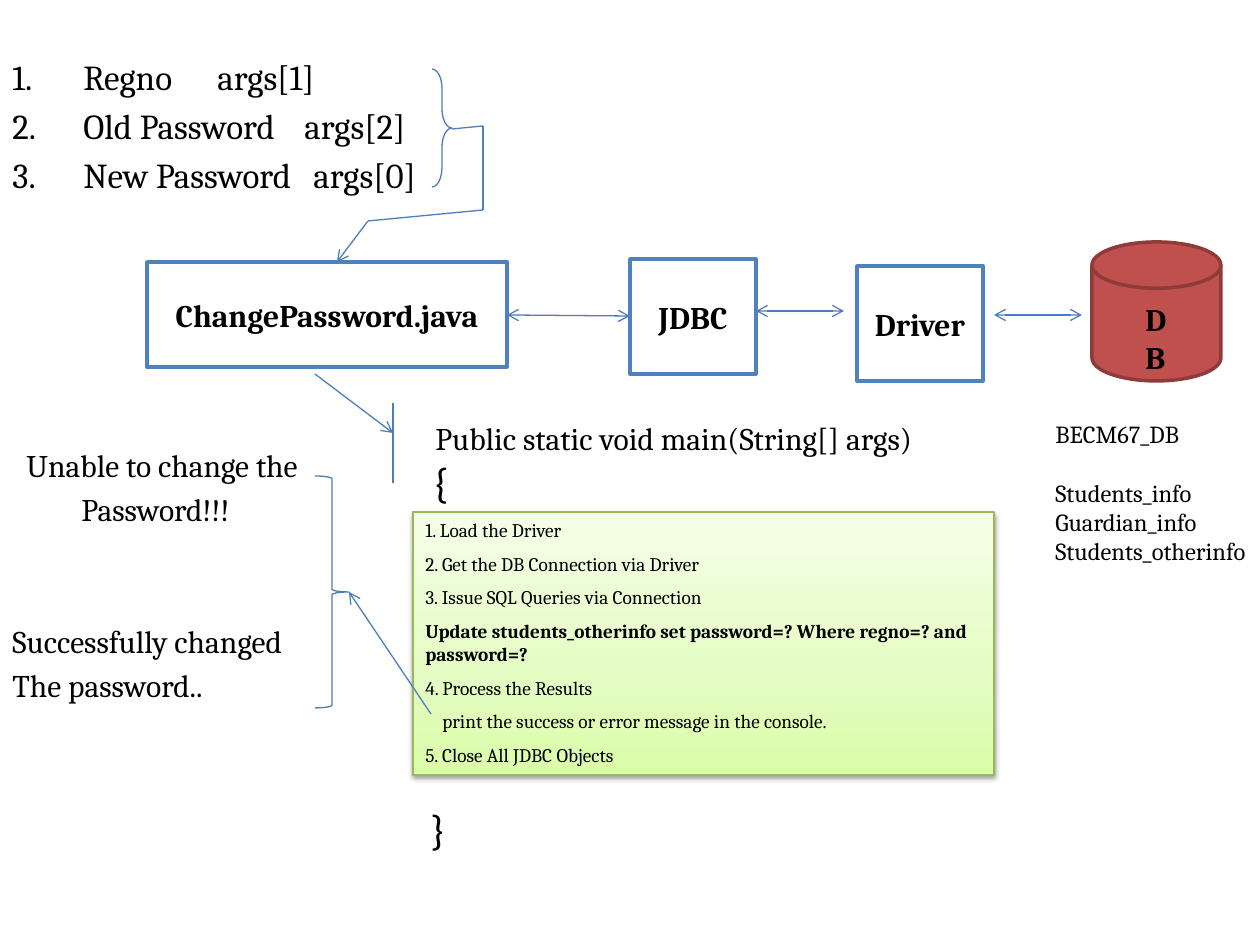
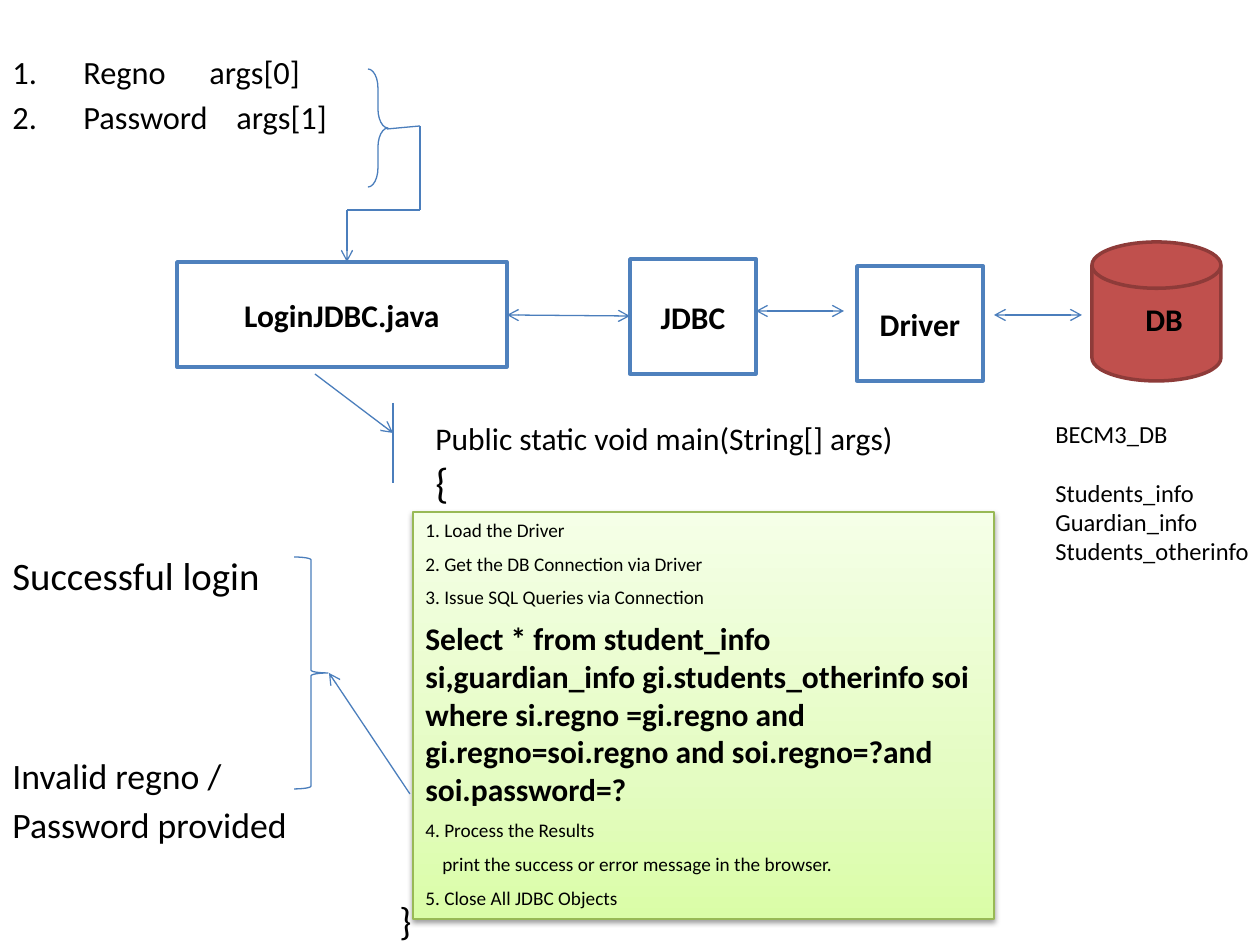
"""Build two slides on how a Java program reaches a database through JDBC."""
from itertools import pairwise
from lxml.etree import SubElement
from pptx import Presentation
from pptx.dml.color import RGBColor
from pptx.enum.shapes import MSO_CONNECTOR, MSO_SHAPE
from pptx.enum.text import MSO_ANCHOR, PP_ALIGN
from pptx.oxml import parse_xml
from pptx.oxml.ns import nsdecls, qn
from pptx.util import Inches, Pt

PX = 7257
BLACK, WHITE, BLUE, WIRE = "000000", "FFFFFF", "4F81BD", "4B7EBC"
RED, WINE, LEAF = "C0504D", "8E3B39", "98B955"
FADE = [(0, "DAFDA7"), (35, "E4FCC2"), (100, "F5FFE7")]
rgb = RGBColor.from_string


def draw(page, kind, at, fill=None, edge=None, width=0.75):
    area = [v * PX for v in at]
    if kind is None:
        item = page.shapes.add_textbox(*area)
    else:
        item = page.shapes.add_shape(kind, *area)
        item.shadow.inherit = False
        item.line.color.rgb = rgb(edge)
        item.line.width = Pt(width)
        if fill:
            item.fill.solid()
            item.fill.fore_color.rgb = rgb(fill)
        else:
            item.fill.background()
    item.text_frame.word_wrap = True
    return item


def write(item, text, size=18, font="Calibri", bold=False, align=PP_ALIGN.LEFT,
          gap=0, indent=0, count=False):
    frame = item.text_frame
    for line in text.split("\n"):
        para = frame.add_paragraph() if frame.text else frame.paragraphs[0]
        para.alignment = align
        para.space_before = Pt(gap)
        props = para._p.get_or_add_pPr()
        if indent:
            props.set("marL", str(indent * PX))
            props.set("indent", str(-indent * PX if count else 0))
        if count:
            SubElement(props, qn("a:buAutoNum"), type="arabicPeriod")
        run = para.add_run()
        run.text = line
        run.font.size = Pt(size)
        run.font.name = font
        run.font.bold = bold
        run.font.color.rgb = rgb(BLACK)


PAGES = [
    dict(font="Cambria", program="ChangePassword.java", left=147, base="BECM67_DB",
         top=49, pitch=49, size=20, gap=4,
         inputs=[("Regno", "args[1]", 205), ("Old Password", "args[2]", 292),
                 ("New Password", "args[0]", 301)],
         query="Update students_otherinfo set password=? Where regno=? and password=?",
         query_size=11, height=263, place="console",
         notes=[("Unable to change the", 14, 440, 18, 0), ("Password!!!", 14, 484, 18, 55),
                ("Successfully changed\nThe password..", 0, 616, 18, 0)],
         close=(418, 797, 24), brace=432, fork=(315, 476),
         route=[(452, 129), (483, 126), (483, 210), (368, 221), (337, 262)],
         result=(431, 714, 349, 592)),
    dict(font="Calibri", program="LoginJDBC.java", left=177, base="BECM3_DB",
         top=46, pitch=45, size=18.5, gap=3.5,
         inputs=[("Regno", "args[0]", 197), ("Password", "args[1]", 224)],
         query="Select * from student_info si,guardian_info gi.students_otherinfo soi "
               "where si.regno =gi.regno and gi.regno=soi.regno and soi.regno=?"
               "and soi.password=?",
         query_size=18, height=407, place="browser",
         notes=[("Successful login", 0, 546, 22.2, 0),
                ("Invalid regno /\nPassword provided", 0, 748, 20.4, 0)],
         close=(387, 890, 22.2), brace=368, fork=(294, 557),
         route=[(387, 129), (420, 126), (420, 210), (347, 210), (347, 262)],
         result=(410, 794, 329, 673)),
]
WIRES = [(507, 315, 630, 316, "both"), (756, 311, 844, 311, "both"),
         (994, 315, 1082, 315, "both"), (393, 403, 393, 483, ""),
         (315, 374, 393, 433, "end")]

deck = Presentation()
deck.slide_width, deck.slide_height = Inches(10), Inches(7.5)
for data in PAGES:
    page = deck.slides.add_slide(deck.slide_layouts[6])
    font = data["font"]

    names = draw(page, None, (0, data["top"], 420, 160))
    for row, (name, arg, left) in enumerate(data["inputs"]):
        write(names, name, data["size"], font, gap=data["gap"], indent=71, count=True)
        slot = draw(page, None, (left, data["top"] + row * data["pitch"], 140, 54))
        write(slot, arg, data["size"], font)

    for text, left, top, size, indent in data["notes"]:
        note = draw(page, None, (left, top, 320, 60))
        write(note, text, size, font, gap=3.6, indent=indent)
    left, top, size = data["close"]
    write(draw(page, None, (left, top, 50, 54)), "}", size)

    for text, at in [(data["program"], (data["left"], 262, 507 - data["left"], 105)),
                     ("JDBC", (630, 259, 126, 115)), ("Driver", (857, 266, 126, 115))]:
        block = draw(page, MSO_SHAPE.RECTANGLE, at, WHITE, BLUE, 2)
        block.text_frame.vertical_anchor = MSO_ANCHOR.MIDDLE
        write(block, text, 18, font, bold=True, align=PP_ALIGN.CENTER)
    draw(page, MSO_SHAPE.FLOWCHART_MAGNETIC_DISK, (1092, 242, 129, 139), RED, WINE, 2)
    write(draw(page, None, (1133, 294, 63, 50)), "DB", 18, font, bold=True)

    steps = draw(page, MSO_SHAPE.RECTANGLE, (413, 512, 581, data["height"]), WHITE, LEAF)
    steps.text_frame.vertical_anchor = MSO_ANCHOR.TOP
    props = steps.element.spPr
    stops = "".join(f'<a:gs pos="{pos * 1000}"><a:srgbClr val="{tint}"/></a:gs>'
                    for pos, tint in FADE)
    props.replace(props.find(qn("a:solidFill")), parse_xml(
        f'<a:gradFill {nsdecls("a")}><a:gsLst>{stops}</a:gsLst>'
        '<a:lin ang="16200000" scaled="1"/></a:gradFill>'))
    props.find(qn("a:effectLst")).append(parse_xml(
        f'<a:outerShdw {nsdecls("a")} blurRad="40000" dist="20000" dir="5400000" '
        'rotWithShape="0"><a:srgbClr val="000000"><a:alpha val="38000"/></a:srgbClr>'
        '</a:outerShdw>'))
    write(steps, "1. Load the Driver\n2. Get the DB Connection via Driver\n"
          "3. Issue SQL Queries via Connection", 11, font, gap=6)
    write(steps, data["query"], data["query_size"], font, bold=True, gap=6)
    write(steps, "4. Process the Results", 11, font, gap=6)
    write(steps, f"print the success or error message in the {data['place']}.",
          11, font, gap=6, indent=17)
    write(steps, "5. Close All JDBC Objects", 11, font, gap=6)

    code = draw(page, None, (423, 413, 542, 102))
    write(code, "Public static void main(String[] args)", 18, font)
    write(code, "{", 24)
    store = draw(page, None, (1043, 413, 266, 161))
    write(store, data["base"], 14, font)
    write(store, "Students_info", 14, font, gap=16.6)
    write(store, "Guardian_info\nStudents_otherinfo", 14, font)

    draw(page, MSO_SHAPE.RIGHT_BRACE, (*data["fork"], 34, 232), edge=WIRE)
    brace = draw(page, MSO_SHAPE.RIGHT_BRACE, (data["brace"], 69, 20, 118), edge=WIRE)
    brace.adjustments[0] = 0.96

    legs = [(*a, *b, "") for a, b in pairwise(data["route"])]
    legs[-1] = (*legs[-1][:4], "end")
    for *ends, tips in WIRES + legs + [(*data["result"], "end")]:
        wire = page.shapes.add_connector(MSO_CONNECTOR.STRAIGHT, *[v * PX for v in ends])
        wire.line.color.rgb = rgb(WIRE)
        wire.line.width = Pt(0.75)
        props = wire.element.spPr
        line = props.find(qn("a:ln"))
        if tips == "both":
            SubElement(line, qn("a:headEnd"), type="arrow")
        if tips:
            SubElement(line, qn("a:tailEnd"), type="arrow")
        SubElement(props, qn("a:effectLst"))

deck.save("out.pptx")
